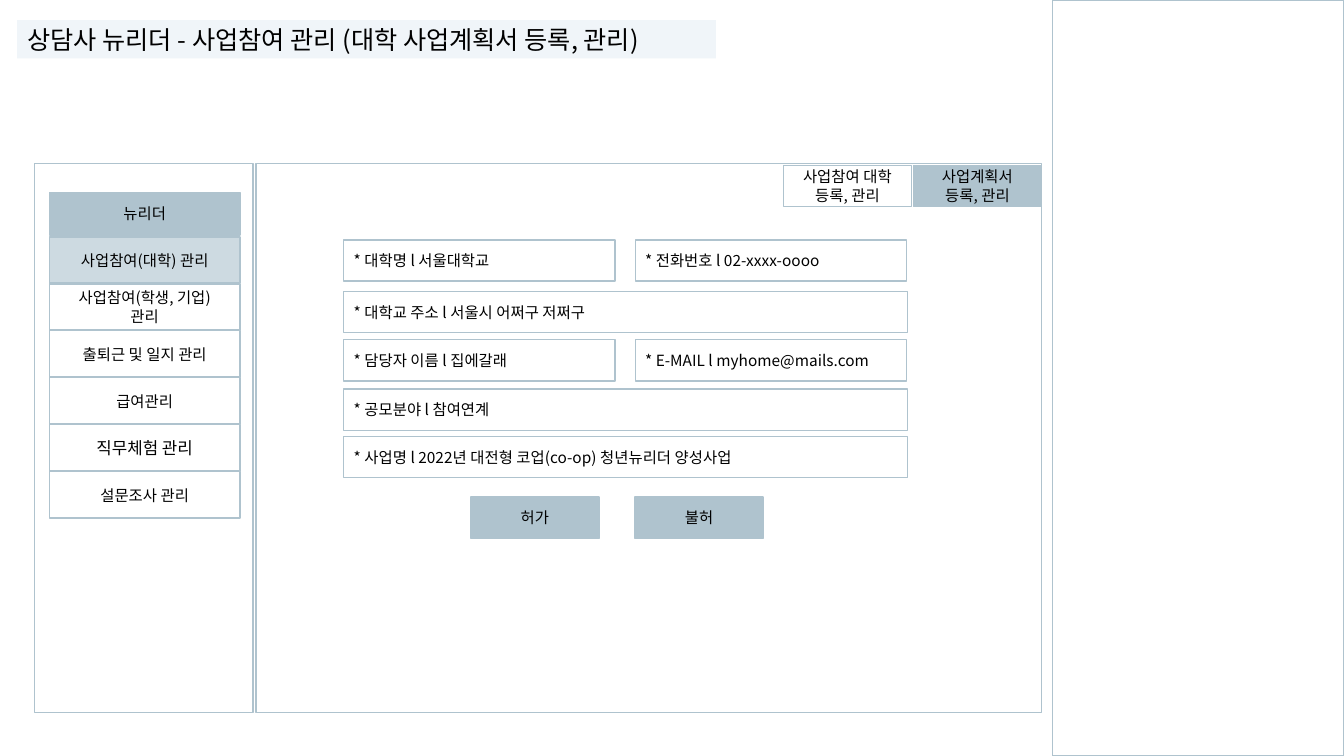
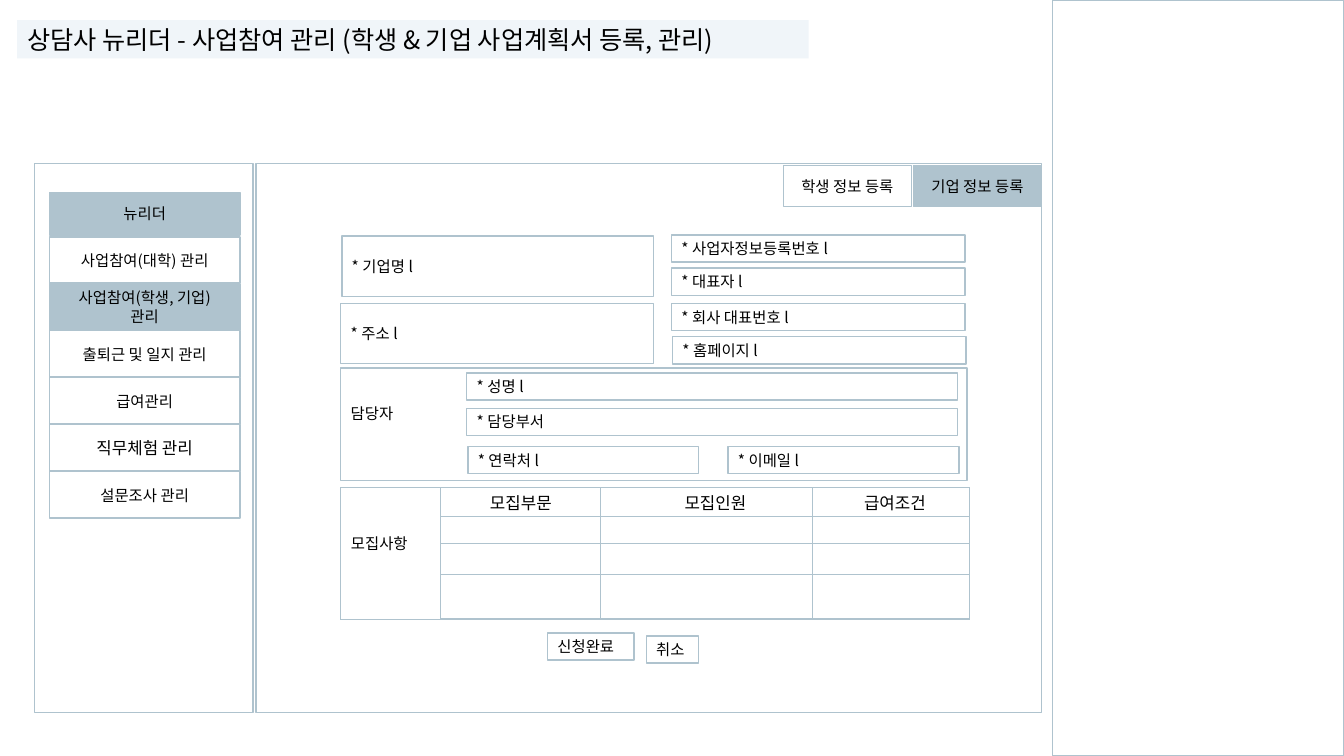
from lxml.etree import SubElement
from pptx import Presentation
from pptx.dml.color import RGBColor
from pptx.enum.shapes import MSO_SHAPE
from pptx.enum.text import MSO_ANCHOR, MSO_AUTO_SIZE, PP_ALIGN
from pptx.oxml.ns import qn
from pptx.util import Inches, Pt

COLORS = {"line": "AFC3CE", "active": "AFC3CE", "soft": "CDDAE1",
          "band": "F0F5F9", "text": "000000"}
FONT = "Noto Sans CJK KR"

# Slide grid: 1333 columns by 750 rows of square cells
COLUMNS, ROWS = 1333, 750
CELL = Inches(7.5) // ROWS
LINE_HEIGHT = 22

prs = Presentation()
prs.slide_width, prs.slide_height = COLUMNS * CELL, ROWS * CELL


def write(frame, text, size=11, align=PP_ALIGN.LEFT):
    """Fill a text frame, one paragraph for each line of text."""
    for number, line in enumerate(text.split("\n")):
        paragraph = frame.add_paragraph() if number else frame.paragraphs[0]
        paragraph.alignment = align
        run = paragraph.add_run()
        run.text = line
        run.font.size = Pt(size)
        run.font.name = FONT
        run.font.color.rgb = RGBColor.from_string(COLORS["text"])
        SubElement(run.font._element, qn("a:ea"), typeface=FONT)


def box(slide, area, text="", fill=None, size=11, align=PP_ALIGN.LEFT):
    """Draw an outlined rectangle; area is column, row, width and height."""
    rect = slide.shapes.add_shape(MSO_SHAPE.RECTANGLE, *(round(n * CELL) for n in area))
    rect.shadow.inherit = False
    rect.line.color.rgb = RGBColor.from_string(COLORS["line"])
    rect.line.width = Pt(1)
    if fill:
        rect.fill.solid()
        rect.fill.fore_color.rgb = RGBColor.from_string(COLORS[fill])
    else:
        rect.fill.background()
    rect.text_frame.vertical_anchor = MSO_ANCHOR.MIDDLE
    if text:
        write(rect.text_frame, text, size, align)
    return rect


# Shared frame: notes column, content panel, sidebar
PANELS = [(1044, 0, 289, 750), (254, 162, 779, 545), (34, 162, 217, 545)]
MENU = ["사업참여(대학) 관리", "사업참여(학생, 기업)\n관리", "출퇴근 및 일지 관리",
        "급여관리", "직무체험 관리", "설문조사 관리"]
MENU_TOP, MENU_PITCH = 235, 46.6
LARGE_ITEM = "직무체험 관리"

# Each page: title, title width, tabs, active menu item and its fill
PAGES = [
    ("상담사 뉴리더 - 사업참여 관리 (대학 사업계획서 등록, 관리)", 693,
     ["사업참여 대학\n등록, 관리", "사업계획서\n등록, 관리"], 0, "soft"),
    ("상담사 뉴리더 - 사업참여 관리 (학생 & 기업 사업계획서 등록, 관리)", 785,
     ["학생 정보 등록", "기업 정보 등록"], 1, "active"),
]

slides = []
for heading, heading_width, tabs, active, active_fill in PAGES:
    slide = prs.slides.add_slide(prs.slide_layouts[5])
    slides.append(slide)

    # Title band
    title = slide.shapes.title
    title.left, title.top = 17 * CELL, 20 * CELL
    title.width, title.height = heading_width * CELL, 38 * CELL
    title.fill.solid()
    title.fill.fore_color.rgb = RGBColor.from_string(COLORS["band"])
    title.text_frame.auto_size = MSO_AUTO_SIZE.NONE
    title.text_frame.vertical_anchor = MSO_ANCHOR.MIDDLE
    write(title.text_frame, heading, 18)

    for panel in PANELS:
        box(slide, panel)

    # Tabs, the last one selected
    for position, tab in enumerate(tabs):
        box(slide, (777 + 129 * position, 164, 127, 41), tab,
            "active" if position else None, align=PP_ALIGN.CENTER)

    # Sidebar menu
    box(slide, (49, 191, 189, 42), "뉴리더", "active", align=PP_ALIGN.CENTER)
    for position, item in enumerate(MENU):
        box(slide, (49, MENU_TOP + MENU_PITCH * position, 189, 46), item,
            active_fill if position == active else None,
            12 if item == LARGE_ITEM else 11, PP_ALIGN.CENTER)

university, company = slides

# University form: rows of one wide or two half fields
UNIVERSITY_ROWS = [
    (238, ["* 대학명 l 서울대학교", "* 전화번호 l 02-xxxx-oooo"]),
    (289, ["* 대학교 주소 l 서울시 어쩌구 저쩌구"]),
    (337, ["* 담당자 이름 l 집에갈래", "* E-MAIL l myhome@mails.com"]),
    (386, ["* 공모분야 l 참여연계"]),
    (433, ["* 사업명 l 2022년 대전형 코업(co-op) 청년뉴리더 양성사업"]),
]
for row, fields in UNIVERSITY_ROWS:
    width = 559 if len(fields) == 1 else 269
    for position, field in enumerate(fields):
        box(university, (341 + 289 * position, row, width, 41), field)
for column, decision in [(467, "허가"), (630, "불허")]:
    box(university, (column, 493, 127, 41), decision, "active", align=PP_ALIGN.CENTER)

# Company form: left pair, right column, contact block, buttons
contact = box(company, (338, 365, 621, 112), "담당자")
contact.text_frame.margin_bottom = (LINE_HEIGHT + 5) * CELL
COMPANY_FIELDS = [
    ((339, 234, 309, 60), "* 기업명 l"),
    ((338, 301, 310, 60), "* 주소 l"),
    ((666, 233, 291, 27), "* 사업자정보등록번호 l"),
    ((666, 266, 291, 27), "* 대표자 l"),
    ((666, 301, 291, 27), "* 회사 대표번호 l"),
    ((667, 334, 291, 27), "* 홈페이지 l"),
    ((463, 370, 487, 27), "* 성명 l"),
    ((463, 405, 487, 27), "* 담당부서"),
    ((464, 443, 229, 27), "* 연락처 l"),
    ((722, 443, 229, 27), "* 이메일 l"),
    ((543, 628, 86, 27), "신청완료"),
    ((641, 631, 52, 27), "취소"),
]
for area, field in COMPANY_FIELDS:
    box(company, area, field)

# Recruitment table
COLUMN_WIDTHS = [99, 158, 211, 156]
ROW_HEIGHTS = [28, 27, 31, 22]
HEADERS = [("모집부문", 49), ("모집인원", 84), ("급여조건", 51)]
recruitment = company.shapes.add_table(
    len(ROW_HEIGHTS), len(COLUMN_WIDTHS), 338 * CELL, 484 * CELL,
    sum(COLUMN_WIDTHS) * CELL, sum(ROW_HEIGHTS) * CELL).table
recruitment.first_row = recruitment.horz_banding = False
for column, width in zip(recruitment.columns, COLUMN_WIDTHS):
    column.width = width * CELL
for row, height in zip(recruitment.rows, ROW_HEIGHTS):
    row.height = height * CELL

last_row, last_column = len(ROW_HEIGHTS) - 1, len(COLUMN_WIDTHS) - 1
for r in range(last_row + 1):
    for c in range(last_column + 1):
        cell = recruitment.cell(r, c)
        cell.margin_top = cell.margin_bottom = 0
        cell.vertical_anchor = MSO_ANCHOR.MIDDLE
        outer = {"lnL": c == 0, "lnR": c == last_column,
                 "lnT": r == 0, "lnB": r == last_row}
        for side, is_outer in outer.items():
            border = SubElement(cell._tc.get_or_add_tcPr(), qn(f"a:{side}"),
                                w=str(Pt(1 if is_outer else 0.5)))
            paint = SubElement(border, qn("a:solidFill"))
            SubElement(paint, qn("a:srgbClr"), val=COLORS["line"])
        cell.fill.background()
        if r == 0 and c > 0:
            header, indent = HEADERS[c - 1]
            cell.margin_left, cell.margin_right = indent * CELL, 0
            write(cell.text_frame, header, 12)
        elif (r, c) != (0, 0):
            SubElement(cell.text_frame.paragraphs[0]._p, qn("a:endParaRPr"), sz="800")

row_label = recruitment.cell(0, 0)
row_label.merge(recruitment.cell(last_row, 0))
row_label.margin_bottom = LINE_HEIGHT * CELL
write(row_label.text_frame, "모집사항")

prs.save("out.pptx")
